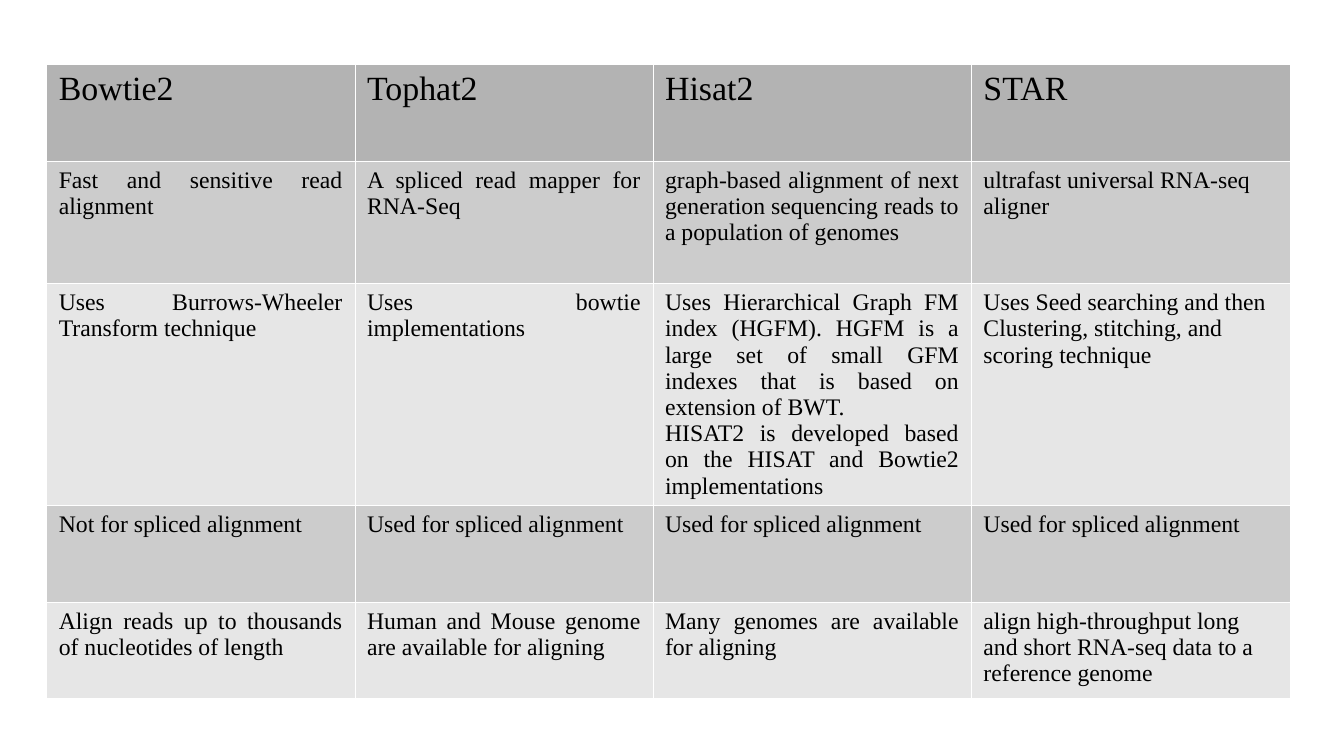
from dataclasses import dataclass

from lxml import etree
from pptx import Presentation
from pptx.dml.color import RGBColor
from pptx.enum import text
from pptx.oxml import ns
from pptx.util import Pt


@dataclass(frozen=True)
class Theme:
    font: str = "Times New Roman"
    ink: str = "000000"
    border: str = "FFFFFF"
    header_fill: str = "B3B3B3"
    band_fills: tuple = ("E6E6E6", "CCCCCC")
    header_size: int = 20
    body_size: int = 14


theme = Theme()


def add_borders(cell, color, width):
    """Draw one solid line on all four sides; call before setting the fill."""
    props = cell._tc.get_or_add_tcPr()
    for side in ("lnL", "lnR", "lnT", "lnB"):
        line = etree.SubElement(props, ns.qn(f"a:{side}"), w=str(int(width)))
        fill = etree.SubElement(line, ns.qn("a:solidFill"))
        etree.SubElement(fill, ns.qn("a:srgbClr"), val=color)


aligners = [
    ["Bowtie2", "Tophat2", "Hisat2", "STAR"],
    [
        "Fast and sensitive read alignment",
        "A spliced read mapper for RNA-Seq",
        "graph-based alignment of next generation sequencing reads to a population of genomes",
        "ultrafast universal RNA-seq aligner",
    ],
    [
        "Uses Burrows-Wheeler Transform technique",
        "Uses bowtie implementations",
        "Uses Hierarchical Graph FM index (HGFM). HGFM is a large set of small GFM indexes "
        "that is based on extension of BWT.\n"
        "HISAT2 is developed based on the HISAT and Bowtie2 implementations",
        "Uses Seed searching and then\nClustering, stitching, and scoring technique",
    ],
    ["Not for spliced alignment"] + ["Used for spliced alignment"] * 3,
    [
        "Align reads up to thousands of nucleotides of length",
        "Human and Mouse genome are available for aligning",
        "Many genomes are available for aligning",
        "align high-throughput long and short RNA-seq data to a reference genome",
    ],
]
column_widths = [182, 176, 188, 188]
row_heights = [57, 72.5, 131, 57, 57]

deck = Presentation()
deck.slide_width, deck.slide_height = Pt(793.5), Pt(446.5)
page = deck.slides.add_slide(deck.slide_layouts[6])

table = page.shapes.add_table(
    len(row_heights), len(column_widths),
    Pt(27.5), Pt(38), Pt(sum(column_widths)), Pt(sum(row_heights)),
).table
for column, width in zip(table.columns, column_widths):
    column.width = Pt(width)
for row, height in zip(table.rows, row_heights):
    row.height = Pt(height)

for r, entries in enumerate(aligners):
    is_header = r == 0
    fill_color = theme.header_fill if is_header else theme.band_fills[r % 2]
    size = theme.header_size if is_header else theme.body_size
    for c, entry in enumerate(entries):
        cell = table.cell(r, c)
        add_borders(cell, theme.border, Pt(0.06))
        cell.fill.solid()
        cell.fill.fore_color.rgb = RGBColor.from_string(fill_color)
        cell.text_frame.text = entry
        is_last_column = c == len(entries) - 1
        for para in cell.text_frame.paragraphs:
            para.alignment = text.PP_ALIGN.LEFT if is_last_column else text.PP_ALIGN.JUSTIFY
            for span in para.runs:
                span.font.name = theme.font
                span.font.size = Pt(size)
                span.font.bold = False
                span.font.color.rgb = RGBColor.from_string(theme.ink)

# Rows are banded from the first body row: odd rows dark, even rows light.
deck.save("out.pptx")
